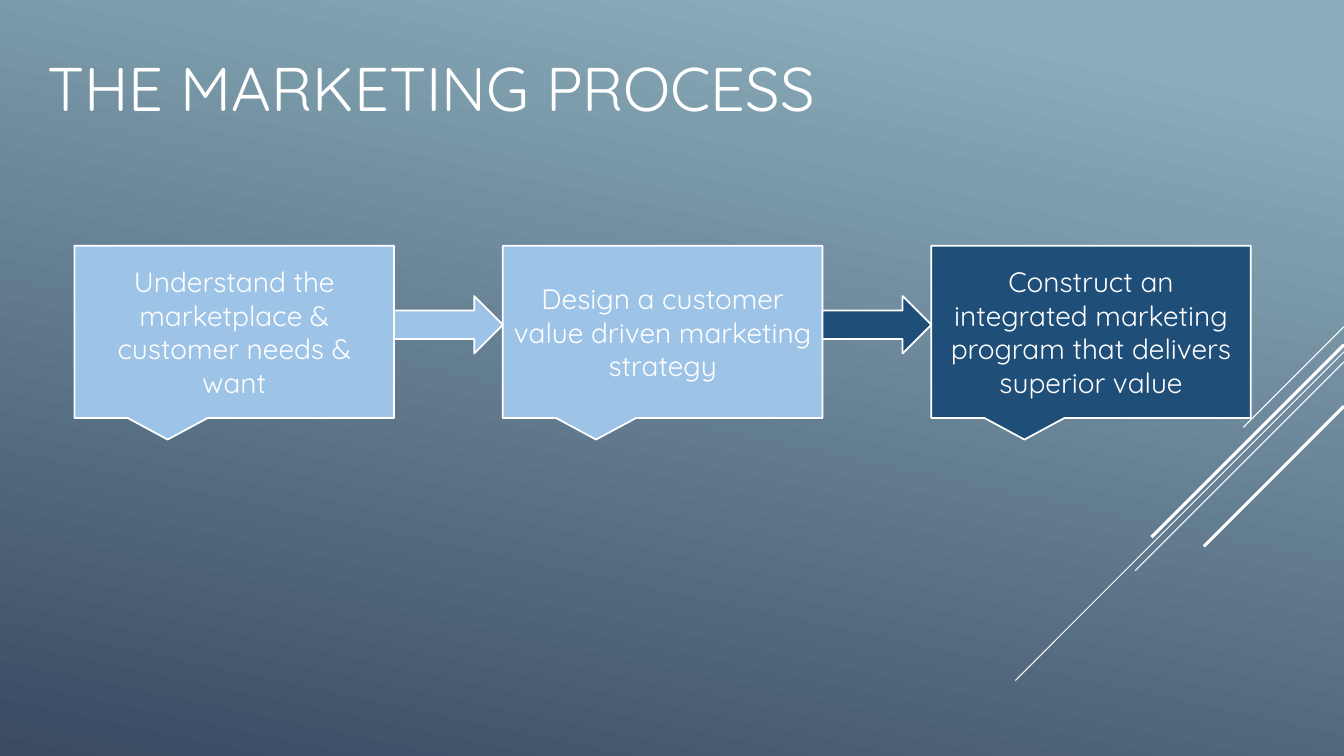
from dataclasses import dataclass

from lxml import etree
from pptx import Presentation
from pptx import util as u
from pptx.dml.color import RGBColor
from pptx.enum import shapes, text
from pptx.oxml.ns import qn


@dataclass(frozen=True)
class Theme:
    """Colours, font and sizes of the slide."""
    font: str = "Quicksand"
    title_size: float = 44
    step_size: float = 20
    outline: float = 1.25
    white: str = "FFFFFF"
    light: str = "9DC3E6"
    dark: str = "1F4E79"
    sky: str = "8AACBB"
    dusk: str = "394A61"


class Canvas:
    """Draws themed elements on one slide, in points."""

    def __init__(self, slide, theme):
        """Keep the slide and its theme."""
        self.slide, self.theme = slide, theme

    def background(self, stops, angle):
        """Fill the background with a linear gradient."""
        fill = self.slide.background.fill
        fill.gradient()
        fill.gradient_angle = angle
        for stop, (position, colour) in zip(fill.gradient_stops, stops):
            stop.position = position
            stop.color.rgb = RGBColor.from_string(colour)

    def style(self, paragraph, size):
        """Set the font of a paragraph."""
        paragraph.font.name = self.theme.font
        paragraph.font.size = u.Pt(size)
        paragraph.font.color.rgb = RGBColor.from_string(self.theme.white)

    def title(self, words, *box):
        """Add the slide heading."""
        frame = self.slide.shapes.add_textbox(*map(u.Pt, box)).text_frame
        frame.word_wrap = True
        frame.text = words
        self.style(frame.paragraphs[0], self.theme.title_size)

    def line(self, x1, y1, x2, y2, weight):
        """Add a straight white line."""
        line = self.slide.shapes.add_connector(
            shapes.MSO_CONNECTOR.STRAIGHT, *map(u.Pt, (x1, y1, x2, y2)))
        line.line.color.rgb = RGBColor.from_string(self.theme.white)
        line.line.width = u.Pt(weight)
        etree.SubElement(line._element.spPr, qn("a:effectLst"))

    def shape(self, kind, colour, *box):
        """Add a filled shape with a white outline."""
        shape = self.slide.shapes.add_shape(kind, *map(u.Pt, box))
        shape.shadow.inherit = False
        shape.fill.solid()
        shape.fill.fore_color.rgb = RGBColor.from_string(colour)
        shape.line.color.rgb = RGBColor.from_string(self.theme.white)
        shape.line.width = u.Pt(self.theme.outline)
        return shape

    def step(self, words, colour, *box):
        """Add a callout that holds one step."""
        kind = shapes.MSO_SHAPE.RECTANGULAR_CALLOUT
        frame = self.shape(kind, colour, *box).text_frame
        frame.word_wrap = True
        frame.vertical_anchor = text.MSO_ANCHOR.MIDDLE
        frame.text = words
        frame.paragraphs[0].alignment = text.PP_ALIGN.CENTER
        self.style(frame.paragraphs[0], self.theme.step_size)

    def arrow(self, colour, *box):
        """Add an arrow that leads to the next step."""
        self.shape(shapes.MSO_SHAPE.RIGHT_ARROW, colour, *box)


def main():
    """Build the slide and save it."""
    deck = Presentation()
    width = 960
    deck.slide_width, deck.slide_height = u.Pt(width), u.Pt(540)
    theme = Theme()
    canvas = Canvas(deck.slides.add_slide(deck.slide_layouts[6]), theme)

    canvas.background([(0.1, theme.sky), (1, theme.dusk)], 258)
    diagonals = [(233.3, 72, 0.75), (251.3, 234.7, 0.75), (258.5, 149.2, 0.75),
                 (246.2, 137.5, 2.25), (290.2, 100.1, 2.25)]
    for top, reach, weight in diagonals:
        canvas.line(width, top, width - reach, top + reach, weight)

    canvas.title("THE MARKETING PROCESS", 26.6, 32.4, 753.8, 57.6)

    steps = [
        ("Understand the marketplace & customer needs & want", theme.light),
        ("Design a customer value driven marketing strategy", theme.light),
        ("Construct an integrated marketing program that delivers superior value",
         theme.dark),
    ]
    first_left, pitch, step_width = 53.2, 306, 228.3
    gap = pitch - step_width
    for index, (words, colour) in enumerate(steps):
        left = first_left + index * pitch
        canvas.step(words, colour, left, 175.6, step_width, 123)
        if index:
            canvas.arrow(colour, left - gap, 211.5, gap, 41)

    deck.save("out.pptx")


if __name__ == "__main__":
    main()
